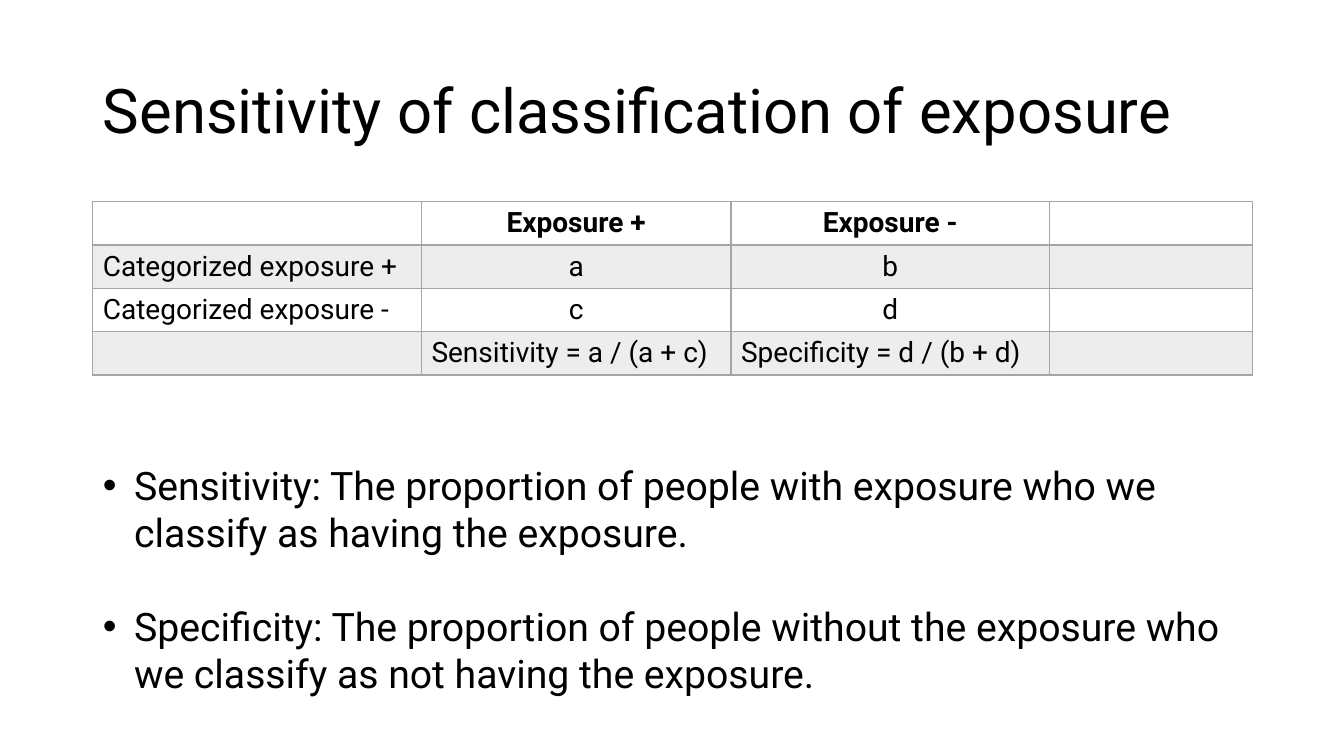
from lxml.etree import SubElement
from pptx import Presentation
from pptx.dml.color import RGBColor
from pptx.enum.text import MSO_ANCHOR, MSO_AUTO_SIZE, PP_ALIGN
from pptx.oxml.ns import qn
from pptx.util import Inches, Pt

FONT = "Roboto"
BLACK, GRAY, BAND = "000000", "A5A5A5", "EDEDED"
LEFT, WIDTH = 0.92, 11.5

TITLE = "Sensitivity of classification of exposure"
ROWS = [
    ["", "Exposure +", "Exposure -", ""],
    ["Categorized exposure +", "a", "b", ""],
    ["Categorized exposure -", "c", "d", ""],
    ["", "Sensitivity = a / (a + c)", "Specificity = d / (b + d)", ""],
]
COL_WIDTHS = [3.26, 3.07, 3.16, 2.01]
DEFINITIONS = [
    "Sensitivity: The proportion of people with exposure who we classify "
    "as having the exposure.",
    "Specificity: The proportion of people without the exposure who we "
    "classify as not having the exposure.",
]


def rgb(color):
    return RGBColor.from_string(color)


def add_run(p, text, size, bold=False):
    r = p.add_run()
    r.text = text
    r.font.name = FONT
    r.font.size = Pt(size)
    r.font.bold = bold
    r.font.color.rgb = rgb(BLACK)


def place(sp, x, y, w, h):
    sp.left, sp.top, sp.width, sp.height = map(Inches, (x, y, w, h))
    sp.text_frame.word_wrap = True
    sp.text_frame.auto_size = MSO_AUTO_SIZE.NONE


def set_borders(cell, widths):
    """Draw gray cell edges; widths maps L, R, T and B to points."""
    tcPr = cell._tc.get_or_add_tcPr()
    for side, width in widths.items():
        ln = SubElement(tcPr, qn(f"a:ln{side}"), w=str(Pt(width)))
        fill = SubElement(ln, qn("a:solidFill"))
        SubElement(fill, qn("a:srgbClr"), val=GRAY)


def add_title(slide, x, y, w, h):
    sp = slide.shapes.title
    place(sp, x, y, w, h)
    sp.text_frame.vertical_anchor = MSO_ANCHOR.MIDDLE
    p = sp.text_frame.paragraphs[0]
    p.alignment = PP_ALIGN.LEFT
    p.line_spacing = 0.9
    add_run(p, TITLE, 44)


def add_exposure_table(slide, x, y, w, h):
    table = slide.shapes.add_table(
        len(ROWS), len(COL_WIDTHS), *map(Inches, (x, y, w, h))).table
    table.first_row = table.horz_banding = False
    for column, width in zip(table.columns, COL_WIDTHS):
        column.width = Inches(width)
    for i, row in enumerate(ROWS):
        for j, text in enumerate(row):
            cell = table.cell(i, j)
            set_borders(cell, {"L": 1, "R": 1, "T": 2 if i == 1 else 1,
                               "B": 2 if i == 0 else 1})
            if i % 2:
                cell.fill.solid()
                cell.fill.fore_color.rgb = rgb(BAND)
            else:
                cell.fill.background()
            if text:
                p = cell.text_frame.paragraphs[0]
                centered = j > 0 and i < len(ROWS) - 1
                p.alignment = PP_ALIGN.CENTER if centered else PP_ALIGN.LEFT
                add_run(p, text, 20, bold=i == 0)


def add_definitions(slide, x, y, w, h):
    sp = slide.placeholders[1]
    place(sp, x, y, w, h)
    tf = sp.text_frame
    tf.vertical_anchor = MSO_ANCHOR.TOP
    for i, text in enumerate(DEFINITIONS):
        p = tf.add_paragraph() if i else tf.paragraphs[0]
        pPr = p._p.get_or_add_pPr()
        pPr.set("marL", str(Inches(0.31)))
        pPr.set("indent", str(Inches(-0.31)))
        SubElement(pPr, qn("a:buFont"), typeface="Arial")
        SubElement(pPr, qn("a:buChar"), char="•")
        p.line_spacing = 1.0
        p.space_before = Pt(33 if i else 0)
        add_run(p, text, 28)


def main():
    prs = Presentation()
    prs.slide_width, prs.slide_height = Inches(13.33), Inches(7.5)
    slide = prs.slides.add_slide(prs.slide_layouts[1])
    add_title(slide, LEFT, 0.4, WIDTH, 1.45)
    add_exposure_table(slide, LEFT, 2, WIDTH, 1.72)
    add_definitions(slide, LEFT, 4.53, WIDTH, 2.46)
    prs.save("out.pptx")


if __name__ == "__main__":
    main()
